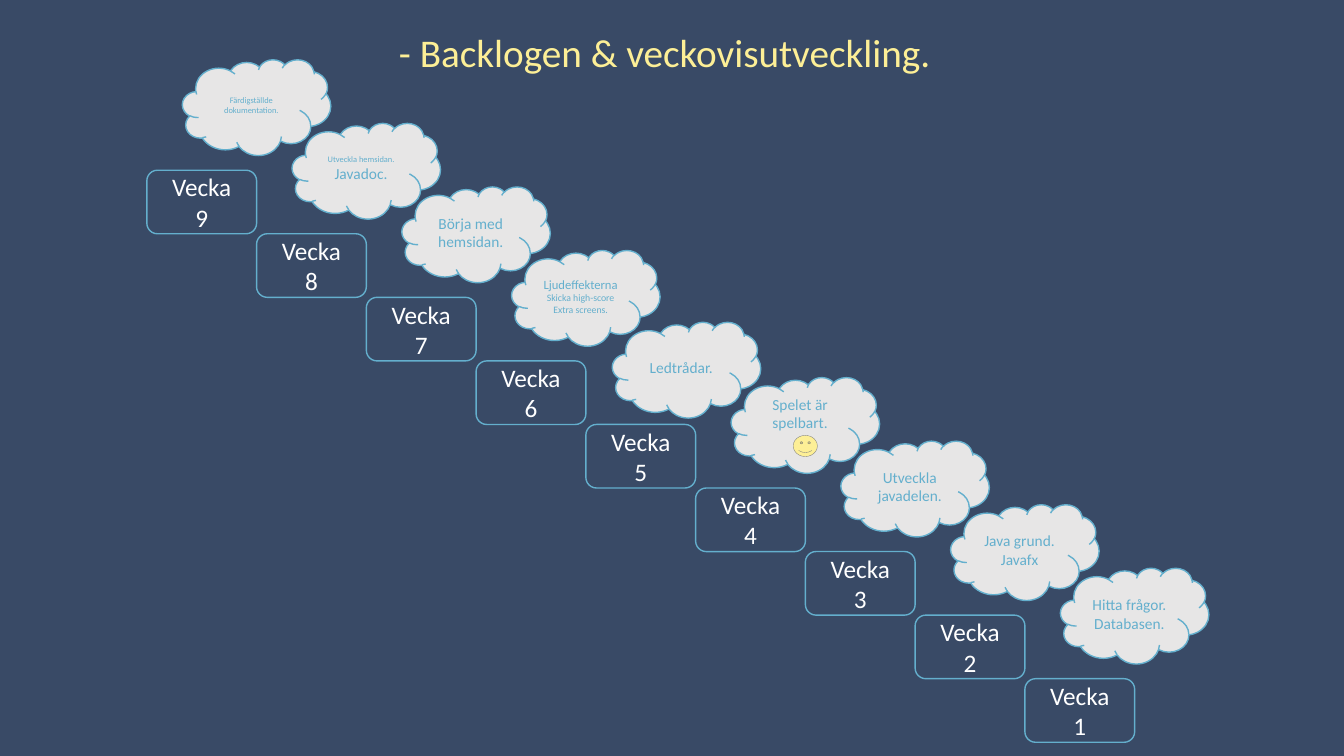
from pptx import Presentation
from pptx.dml.color import RGBColor
from pptx.enum.shapes import MSO_SHAPE
from pptx.enum.text import MSO_ANCHOR, MSO_AUTO_SIZE, PP_ALIGN
from pptx.util import Pt

NAVY, YELLOW, WHITE = "394A66", "FDEF96", "FFFFFF"
BLUE, PALE, GREY = "64AFCD", "E7E6E6", "808080"
STEP_X, STEP_Y = 78.4, 45.4
WEEK_LEFT, WEEK_TOP = 104.9, 121.6
CLOUD_LEFT, CLOUD_TOP = 130.3, 42.5

GOALS = {
    9: [("Färdigställde dokumentation.", 6)],
    8: [("Utveckla hemsidan.", 6), ("Javadoc.", 11)],
    7: [("Börja med hemsidan.", 11)],
    6: [("Ljudeffekterna", 9), ("Skicka high-score", 7), ("Extra screens.", 7)],
    5: [("Ledtrådar.", 11)],
    4: [("Spelet är spelbart.", 11)],
    3: [("Utveckla javadelen.", 11)],
    2: [("Java grund.", 11), ("Javafx", 11)],
    1: [("Hitta frågor. Databasen.", 11)],
}
NUDGES = {5: (-6.5, 5.9)}
BOTTOM_INSETS = {4: 17}


def color(value):
    return RGBColor.from_string(value)


def add_text(para, text, size, ink, align=PP_ALIGN.CENTER):
    para.alignment = align
    span = para.add_run()
    span.text = text
    span.font.name = "Calibri"
    span.font.size = Pt(size)
    span.font.color.rgb = color(ink)


def add_lines(frame, lines, ink):
    frame.word_wrap = True
    frame.vertical_anchor = MSO_ANCHOR.MIDDLE
    for index, (text, size) in enumerate(lines):
        para = frame.add_paragraph() if index else frame.paragraphs[0]
        add_text(para, text, size=size, ink=ink)


def add_figure(page, kind, left, top, width, height, fill=None, line=BLUE, weight=1):
    shape = page.shapes.add_shape(kind, Pt(left), Pt(top), Pt(width), Pt(height))
    shape.shadow.inherit = False
    if fill:
        shape.fill.solid()
        shape.fill.fore_color.rgb = color(fill)
    else:
        shape.fill.background()
    shape.line.color.rgb = color(line)
    shape.line.width = Pt(weight)
    return shape


def add_title(page, text):
    box = page.shapes.add_textbox(Pt(277.9), Pt(16.6), Pt(403.9), Pt(41))
    box.text_frame.word_wrap = True
    box.text_frame.auto_size = MSO_AUTO_SIZE.SHAPE_TO_FIT_TEXT
    add_text(box.text_frame.paragraphs[0], text, size=28, ink=YELLOW, align=PP_ALIGN.LEFT)


def add_week(page, week):
    step = 9 - week
    box = add_figure(page, MSO_SHAPE.FLOWCHART_ALTERNATE_PROCESS,
                     WEEK_LEFT + step * STEP_X, WEEK_TOP + step * STEP_Y, STEP_X, STEP_Y)
    add_lines(box.text_frame, [("Vecka", 18), (str(week), 18)], WHITE)


def add_goal(page, week, lines):
    step = 9 - week
    shift_x, shift_y = NUDGES.get(week, (0, 0))
    cloud = add_figure(page, MSO_SHAPE.CLOUD, CLOUD_LEFT + step * STEP_X + shift_x,
                       CLOUD_TOP + step * STEP_Y + shift_y, 106, 68.4, fill=PALE)
    cloud.text_frame.margin_bottom = Pt(BOTTOM_INSETS.get(week, 3.6))
    add_lines(cloud.text_frame, lines, BLUE)


def main():
    deck = Presentation()
    deck.slide_width, deck.slide_height = Pt(960), Pt(540)
    page = deck.slides.add_slide(deck.slide_layouts[6])
    page.background.fill.solid()
    page.background.fill.fore_color.rgb = color(NAVY)

    add_title(page, "- Backlogen & veckovisutveckling.")
    for week in GOALS:
        add_week(page, week)
    for week, lines in reversed(GOALS.items()):
        add_goal(page, week, lines)
    add_figure(page, MSO_SHAPE.SMILEY_FACE, 566.6, 311, 17.3, 15.1,
               fill=YELLOW, line=GREY, weight=0.25)
    deck.save("out.pptx")


if __name__ == "__main__":
    main()
